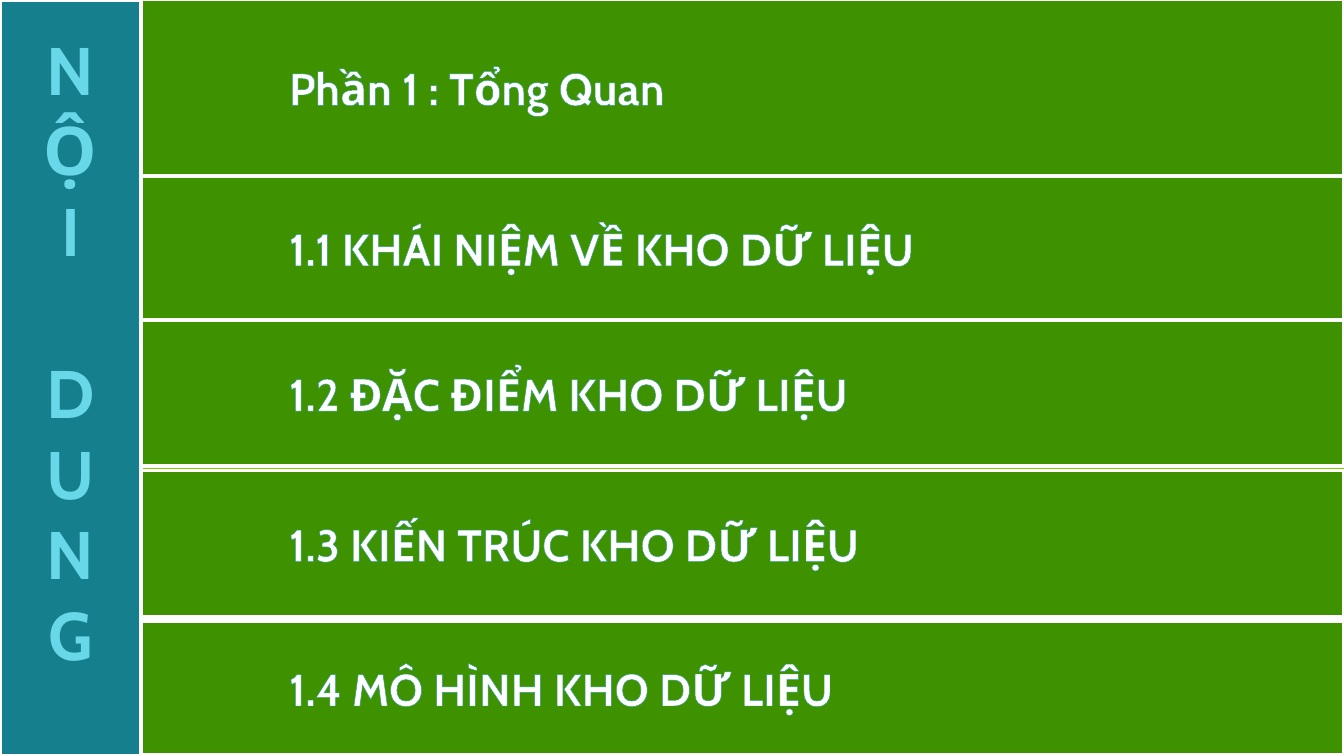
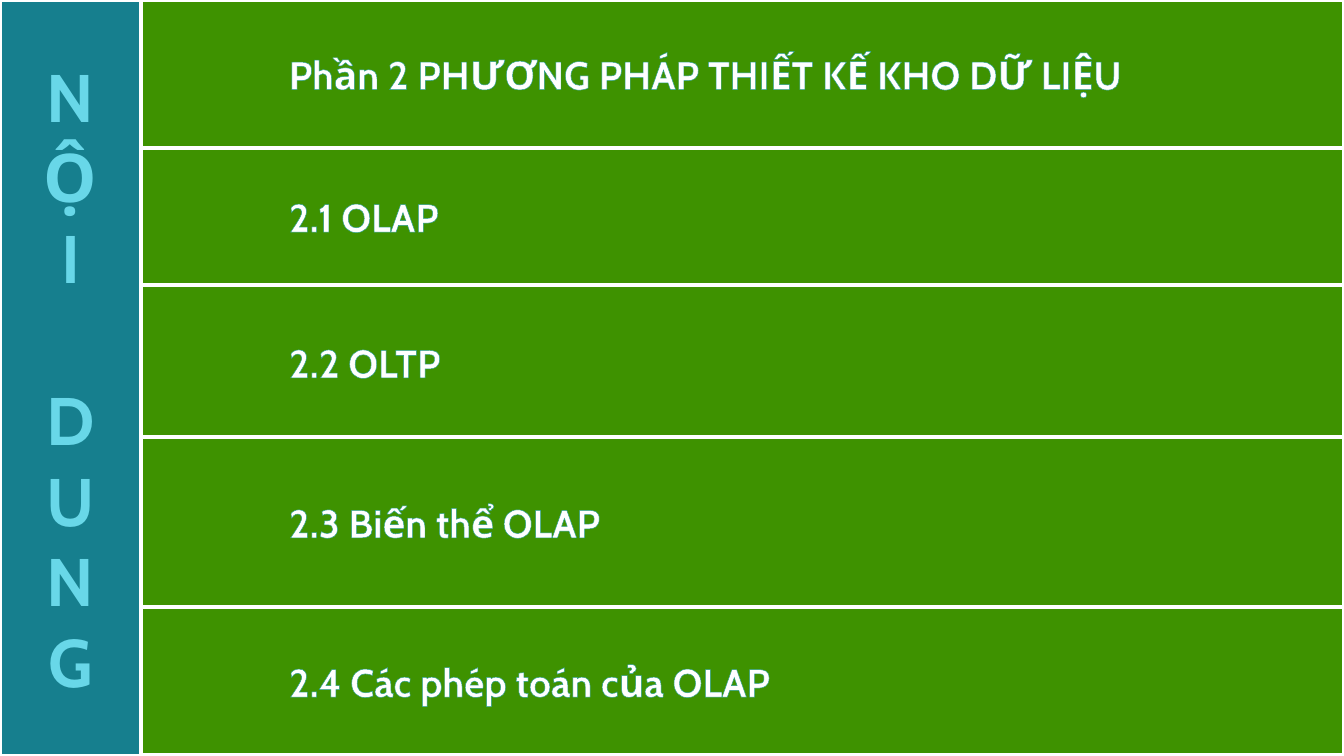
from lxml.etree import SubElement
from pptx import Presentation
from pptx.dml.color import RGBColor
from pptx.enum.shapes import MSO_SHAPE
from pptx.enum.text import MSO_ANCHOR, MSO_AUTO_SIZE, PP_ALIGN
from pptx.oxml.ns import qn
from pptx.util import Inches, Pt

COLORS = {
    "background": "7BD100",
    "sidebar": "167F8E",
    "letters": "68D7E8",
    "band": "3E9200",
    "white": "FFFFFF",
    "text_edge": "2A9D8F",
}
FONT = "Cabin"
SLIDE_W = 10
SLIDE_H = SLIDE_W * 9 / 16
SIDEBAR_W = 1.05
WORDS = ["NỘI", "DUNG"]
WORD_GAP = 43.7

agendas = [
    {
        "size": 24,
        "align": PP_ALIGN.LEFT,
        "sidebar_bottom": 0.45,
        "bands": [
            (-0.01, 1.32, "Phần 1 : Tổng Quan"),
            (1.31, 1.07, "1.1 KHÁI NIỆM VỀ KHO DỮ LIỆU"),
            (2.38, 1.09, "1.2 ĐẶC ĐIỂM KHO DỮ LIỆU"),
            (3.5, 1.09, "1.3 KIẾN TRÚC KHO DỮ LIỆU"),
            (4.62, 1, "1.4 MÔ HÌNH KHO DỮ LIỆU"),
        ],
    },
    {
        "size": 21,
        "align": PP_ALIGN.JUSTIFY,
        "sidebar_bottom": 0.05,
        "bands": [
            (0, 1.1, "Phần 2 PHƯƠNG PHÁP THIẾT KẾ KHO DỮ LIỆU"),
            (1.1, 1.02, "2.1 OLAP"),
            (2.12, 1.15, "2.2 OLTP"),
            (3.25, 1.27, "2.3 Biến thể OLAP"),
            (4.52, 1.1, "2.4 Các phép toán của OLAP"),
        ],
    },
]


def write(paragraph, text, size, color, edge, edge_width, dash=None, align=PP_ALIGN.LEFT, before=0):
    paragraph.alignment = align
    paragraph.space_before = Pt(before)
    run = paragraph.add_run()
    run.text = text
    run.font.name = FONT
    run.font.size = Pt(size)
    run.font.bold = True
    run.font.color.rgb = RGBColor.from_string(COLORS[color])
    properties = run.font._element
    outline = SubElement(properties, qn("a:ln"), w=str(Pt(edge_width)))
    fill = SubElement(outline, qn("a:solidFill"))
    SubElement(fill, qn("a:srgbClr"), val=COLORS[edge])
    if dash:
        SubElement(outline, qn("a:prstDash"), val=dash)
    properties.insert(0, outline)


def style_panel(panel, fill, left_inset=0.1, bottom_inset=0.05):
    panel.fill.solid()
    panel.fill.fore_color.rgb = RGBColor.from_string(COLORS[fill])
    panel.line.color.rgb = RGBColor.from_string(COLORS["white"])
    panel.line.width = Pt(2)
    panel.shadow.inherit = False
    frame = panel.text_frame
    frame.word_wrap = True
    frame.auto_size = MSO_AUTO_SIZE.NONE
    frame.vertical_anchor = MSO_ANCHOR.MIDDLE
    frame.margin_left, frame.margin_right = Inches(left_inset), Inches(0.1)
    frame.margin_top, frame.margin_bottom = Inches(0.05), Inches(bottom_inset)
    return frame


prs = Presentation()
prs.slide_width = Inches(SLIDE_W)
prs.slide_height = Inches(SLIDE_H)

for agenda in agendas:
    slide = prs.slides.add_slide(prs.slide_layouts[5])
    slide.background.fill.solid()
    slide.background.fill.fore_color.rgb = RGBColor.from_string(COLORS["background"])

    sidebar = slide.shapes.add_shape(
        MSO_SHAPE.RECTANGLE, 0, 0, Inches(SIDEBAR_W), Inches(SLIDE_H))
    letters = style_panel(sidebar, "sidebar", bottom_inset=agenda["sidebar_bottom"])
    for word_index, word in enumerate(WORDS):
        for letter_index, letter in enumerate(word):
            first = word_index == letter_index == 0
            starts_word = word_index > 0 and letter_index == 0
            write(letters.paragraphs[0] if first else letters.add_paragraph(), letter,
                  size=36, color="letters", edge="white", edge_width=3, dash="lgDashDotDot",
                  align=PP_ALIGN.CENTER, before=WORD_GAP if starts_word else 0)

    for index, (top, height, text) in enumerate(agenda["bands"]):
        place = [Inches(v) for v in (SIDEBAR_W, top, SLIDE_W - SIDEBAR_W, height)]
        if index == 0:
            band = slide.shapes.title
            band.left, band.top, band.width, band.height = place
        else:
            band = slide.shapes.add_shape(MSO_SHAPE.RECTANGLE, *place)
        heading = style_panel(band, "band", left_inset=1.1)
        write(heading.paragraphs[0], text, size=agenda["size"], color="white",
              edge="text_edge", edge_width=0.75,
              align=agenda["align"] if index == 0 else PP_ALIGN.LEFT)

prs.save("out.pptx")
